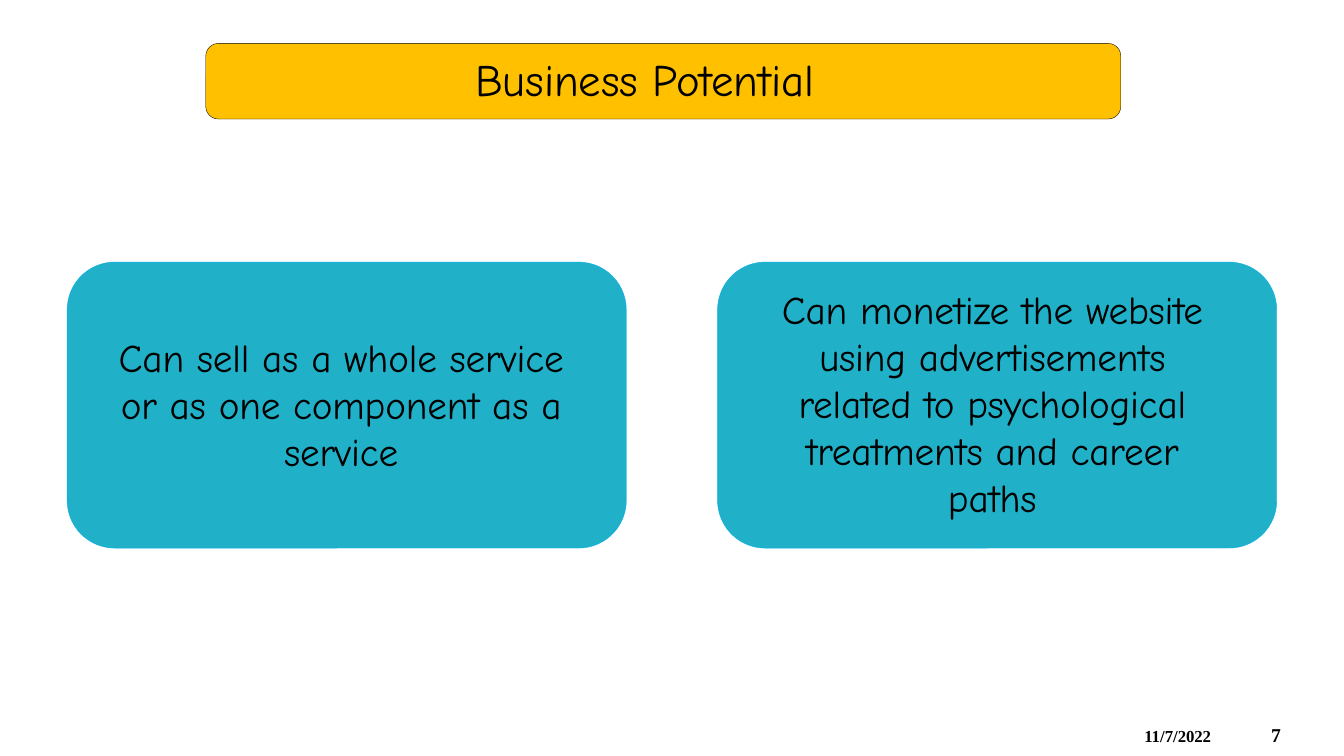
from pptx import Presentation
from pptx.dml.color import RGBColor
from pptx.enum.shapes import MSO_SHAPE
from pptx.enum.text import PP_ALIGN
from pptx.util import Pt

COLORS = {"title": "FFC000", "card": "20B1C8", "card_line": "00AFEF", "ink": "000000"}
HEADING_FONT = "Comic Neue"
FOOTER_FONT = "Times New Roman"


def add_panel(page, left, top, width, height, fill, line):
    """Add a rounded panel with a hairline outline."""
    panel = page.shapes.add_shape(
        MSO_SHAPE.ROUNDED_RECTANGLE, Pt(left), Pt(top), Pt(width), Pt(height))
    panel.shadow.inherit = False
    panel.fill.solid()
    panel.fill.fore_color.rgb = RGBColor.from_string(COLORS[fill])
    panel.line.color.rgb = RGBColor.from_string(COLORS[line])
    panel.line.width = Pt(0.25)


def add_text(page, left, top, width, height, spans, size, font, before=0,
             bold=False, align=PP_ALIGN.LEFT, insets=(1, 0)):
    """Add a text box from spans of wording and letter spacing."""
    box = page.shapes.add_textbox(Pt(left), Pt(top), Pt(width), Pt(height))
    frame = box.text_frame
    frame.word_wrap = True
    frame.margin_left, frame.margin_right = (Pt(inset) for inset in insets)
    frame.margin_top, frame.margin_bottom = Pt(0.9), 0
    para = frame.paragraphs[0]
    para.alignment = align
    para.space_before = Pt(before)
    for wording, spacing in spans:
        span = para.add_run()
        span.text = wording
        span.font.size = Pt(size)
        span.font.name = font
        span.font.bold = bold
        span.font.color.rgb = RGBColor.from_string(COLORS["ink"])
        span.font._element.set("spc", str(round(spacing * 100)))


def add_card(page, left, text_left, text_top, text_width, text_height, wording):
    """Add a card with its centred statement."""
    add_panel(page, left, 187.2, 399.4, 204.3, "card", "card_line")
    add_text(page, text_left, text_top, text_width, text_height, [(wording, -0.1)],
             28, HEADING_FONT, 0.9, align=PP_ALIGN.CENTER, insets=(4, 12))


def main():
    """Build and save the slide."""
    deck = Presentation()
    deck.slide_width, deck.slide_height = Pt(960), Pt(540)
    page = deck.slides.add_slide(deck.slide_layouts[6])

    add_panel(page, 147, 31, 653.6, 54, "title", "ink")
    add_text(page, 338.4, 36, 270.7, 40.3, [("Business ", -0.1), ("Potential", 0)],
             32, HEADING_FONT, 1.1)

    add_card(page, 48, 76.3, 236.9, 342.7, 103,
             "Can sell as a whole service or as one component as a service")
    add_card(page, 512.6, 544.3, 203, 337, 170,
             "Can monetize the website using advertisements related to "
             "psychological treatments and career paths")

    add_text(page, 816.5, 517.7, 64, 15.8,
             [("11", -0.1), ("/", 0), ("7", -0.1), ("/", 0), ("2022", -0.1)],
             12, FOOTER_FONT, 0.4, bold=True)
    add_text(page, 905, 515.5, 14.4, 18.7, [("7", 0)], 14, FOOTER_FONT, 0.3,
             bold=True, insets=(3, 0))
    deck.save("out.pptx")


if __name__ == "__main__":
    main()
